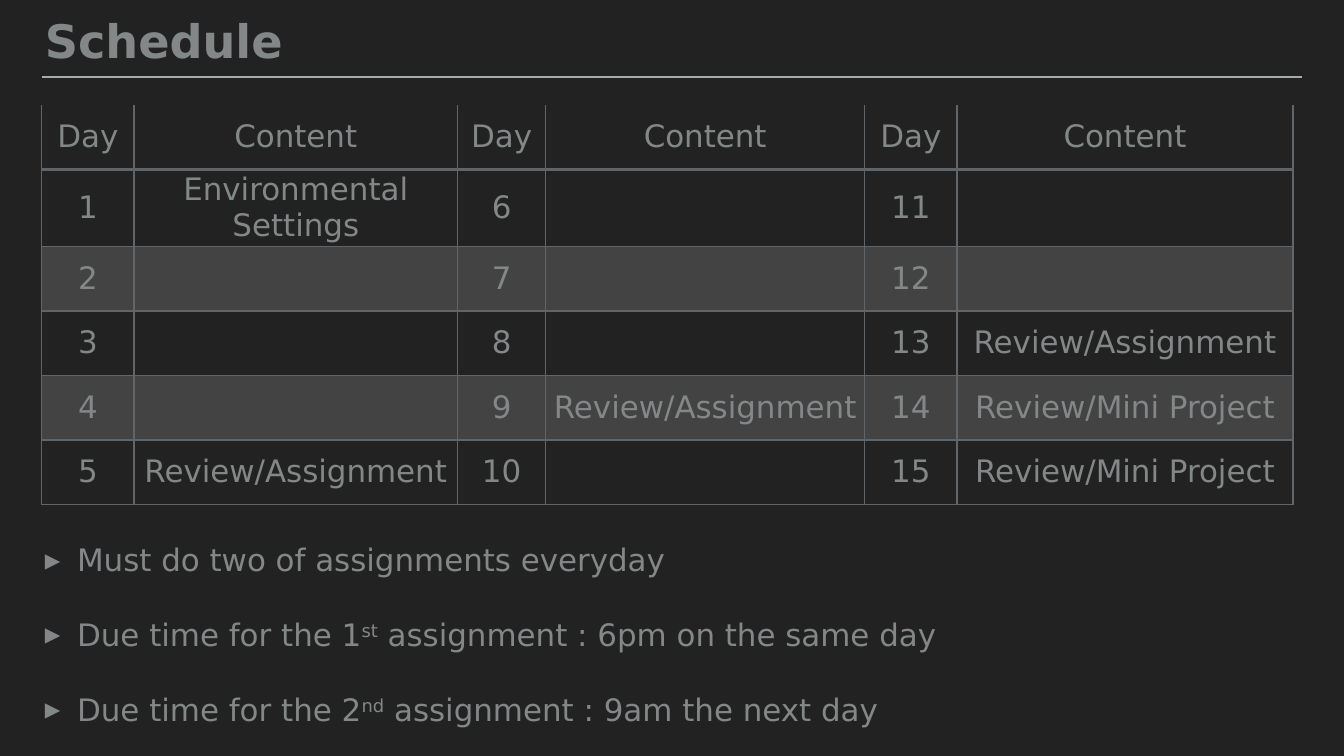
import pptx
import pptx.dml.color
import pptx.enum.shapes
import pptx.enum.text
import pptx.oxml.ns
import pptx.util
from lxml import etree
from pptx.util import Inches

RGBColor = pptx.dml.color.RGBColor
Anchor = pptx.enum.text.MSO_ANCHOR
Align = pptx.enum.text.PP_ALIGN

BACKGROUND = RGBColor(0x22, 0x22, 0x22)
TEXT = RGBColor(0x83, 0x87, 0x87)
RULE = RGBColor(0xA6, 0xAA, 0xA9)
BORDER = RGBColor(0x5F, 0x65, 0x68)
BAND = RGBColor(0xDC, 0xDE, 0xE0)
BAND_OPACITY = 18
FONT = "DejaVu Sans"
BODY_SIZE = 44.2
LEFT = 0.83
DAYS_PER_BLOCK = 5
COLUMN_WIDTHS = [1.83, 6.42, 1.75, 6.33, 1.83, 6.67]
ROW_HEIGHT = 1.28
CONTENTS = {
    1: "Environmental Settings",
    5: "Review/Assignment",
    9: "Review/Assignment",
    13: "Review/Assignment",
    14: "Review/Mini Project",
    15: "Review/Mini Project",
}
NOTES = [
    [("Must do two of assignments everyday", False)],
    [("Due time for the 1", False), ("st", True), (" assignment : 6pm on the same day", False)],
    [("Due time for the 2", False), ("nd", True), (" assignment : 9am the next day", False)],
]


def add_child(parent, tag, **attributes):
    return etree.SubElement(parent, pptx.oxml.ns.qn(tag), **attributes)


def add_run(paragraph, text, size=BODY_SIZE, bold=False, superscript=False):
    run = paragraph.add_run()
    run.text = text
    run.font.name = FONT
    run.font.size = pptx.util.Pt(size)
    run.font.bold = bold
    run.font.color.rgb = TEXT
    if superscript:
        run.font._element.set("baseline", "30000")


def set_frame(frame, anchor):
    frame.word_wrap = True
    frame.auto_size = pptx.enum.text.MSO_AUTO_SIZE.NONE
    frame.vertical_anchor = anchor
    frame.margin_left = frame.margin_right = Inches(0.06)
    frame.margin_top = frame.margin_bottom = Inches(0.06)


def add_title(slide, text):
    title = slide.shapes.title
    title.left, title.top = Inches(LEFT), Inches(0.19)
    title.width, title.height = Inches(22.92), Inches(1.2)
    set_frame(title.text_frame, Anchor.BOTTOM)
    paragraph = title.text_frame.paragraphs[0]
    paragraph.alignment = Align.LEFT
    paragraph.line_spacing = 0.8
    add_run(paragraph, text, size=66, bold=True)


def add_rule(slide):
    rule = slide.shapes.add_connector(
        pptx.enum.shapes.MSO_CONNECTOR.STRAIGHT,
        Inches(LEFT), Inches(1.53), Inches(LEFT + 25), Inches(1.53))
    rule.line.color.rgb = RULE
    rule.line.width = pptx.util.Pt(2)
    add_child(rule._element.spPr, "a:effectLst")


def set_borders(cell, widths):
    properties = cell._tc.get_or_add_tcPr()
    for position, (side, width) in enumerate(widths.items()):
        line = add_child(properties, f"a:ln{side}", w=str(pptx.util.Pt(width)))
        if width:
            fill = add_child(line, "a:solidFill")
            add_child(fill, "a:srgbClr", val=str(BORDER))
        else:
            add_child(line, "a:noFill")
        properties.insert(position, line)


def fill_cell(cell, banded):
    if not banded:
        cell.fill.background()
        return
    cell.fill.solid()
    cell.fill.fore_color.rgb = BAND
    color = cell._tc.tcPr.find(".//" + pptx.oxml.ns.qn("a:srgbClr"))
    add_child(color, "a:alpha", val=str(BAND_OPACITY * 1000))


def schedule_rows():
    blocks = len(COLUMN_WIDTHS) // 2
    rows = [["Day", "Content"] * blocks]
    for first_day in range(1, DAYS_PER_BLOCK + 1):
        days = [first_day + DAYS_PER_BLOCK * block for block in range(blocks)]
        rows.append([text for day in days for text in (str(day), CONTENTS.get(day, ""))])
    return rows


def add_schedule(slide):
    rows = schedule_rows()
    table = slide.shapes.add_table(
        len(rows), len(COLUMN_WIDTHS), Inches(LEFT), Inches(2.08),
        Inches(sum(COLUMN_WIDTHS)), Inches(ROW_HEIGHT * len(rows))).table
    table.first_row = table.horz_banding = False
    for column, width in zip(table.columns, COLUMN_WIDTHS):
        column.width = Inches(width)
    for row_index, texts in enumerate(rows):
        table.rows[row_index].height = Inches(ROW_HEIGHT)
        top = {0: 0, 1: 5}.get(row_index, 2)
        bottom = 5 if row_index == 0 else 2
        for column_index, text in enumerate(texts):
            cell = table.cell(row_index, column_index)
            cell.vertical_anchor = Anchor.MIDDLE
            fill_cell(cell, banded=row_index in (2, 4))
            set_borders(cell, {"L": 2, "R": 2, "T": top, "B": bottom})
            if text:
                paragraph = cell.text_frame.paragraphs[0]
                paragraph.alignment = Align.CENTER
                add_run(paragraph, text)


def set_bullet(paragraph):
    properties = paragraph._p.get_or_add_pPr()
    indent = Inches(0.64)
    properties.set("marL", str(indent))
    properties.set("indent", str(-indent))
    color = add_child(properties, "a:buClr")
    add_child(color, "a:srgbClr", val=str(TEXT))
    add_child(properties, "a:buFont", typeface=FONT)
    add_child(properties, "a:buChar", char="▸")


def add_notes(slide):
    box = slide.shapes.add_textbox(Inches(LEFT), Inches(10.67), Inches(25), Inches(2.43))
    frame = box.text_frame
    set_frame(frame, Anchor.TOP)
    for index, note in enumerate(NOTES):
        paragraph = frame.add_paragraph() if index else frame.paragraphs[0]
        paragraph.space_after = pptx.util.Pt(54)
        set_bullet(paragraph)
        for text, superscript in note:
            add_run(paragraph, text, superscript=superscript)


def main():
    presentation = pptx.Presentation()
    presentation.slide_width = Inches(26.67)
    presentation.slide_height = Inches(15)
    slide = presentation.slides.add_slide(presentation.slide_layouts[5])
    slide.background.fill.solid()
    slide.background.fill.fore_color.rgb = BACKGROUND
    add_rule(slide)
    add_title(slide, "Schedule")
    add_schedule(slide)
    add_notes(slide)
    presentation.save("out.pptx")


if __name__ == "__main__":
    main()
